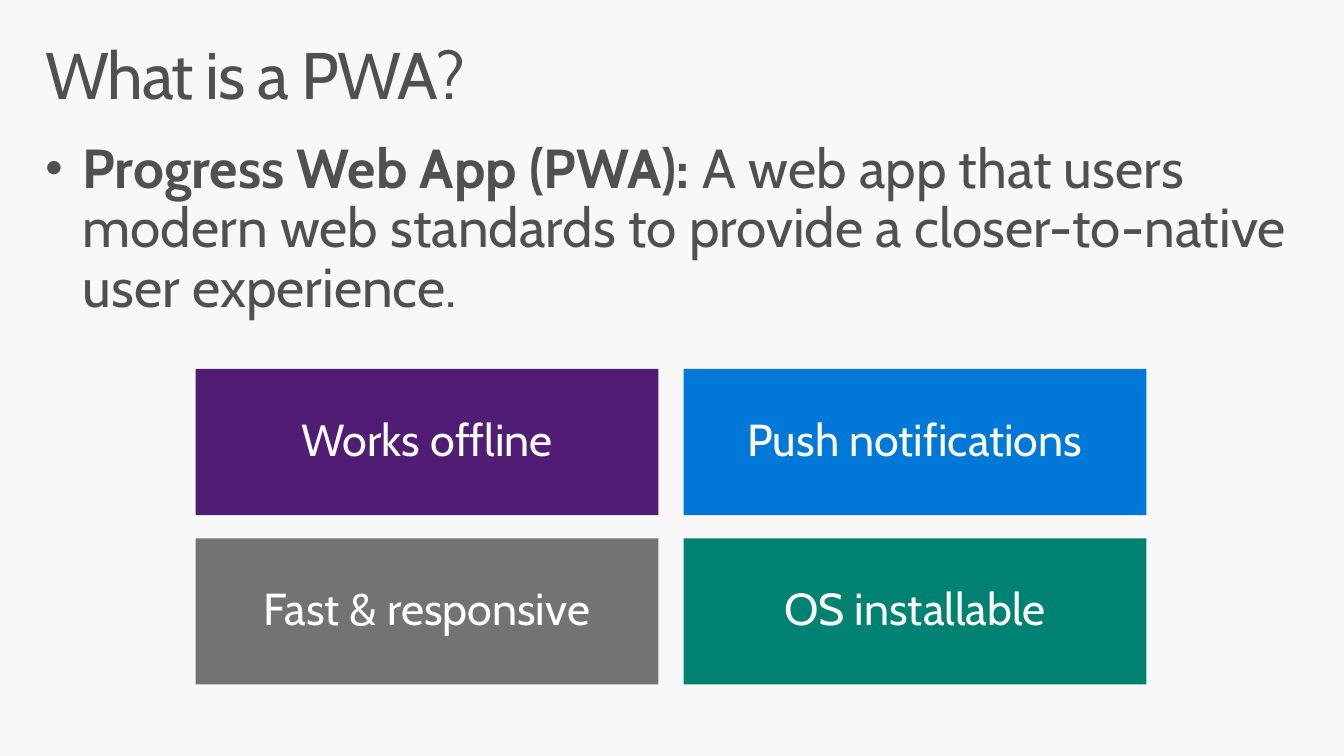
from lxml.etree import SubElement as Sub
from pptx import Presentation
from pptx.dml.color import RGBColor as RGB
from pptx.enum.shapes import MSO_SHAPE as Kind
from pptx.enum.text import MSO_ANCHOR as Anchor, PP_ALIGN as Align
from pptx.oxml.ns import qn
from pptx.util import Inches, Pt

PAPER = RGB(0xF8, 0xF8, 0xF8)
INK = RGB(0x50, 0x50, 0x50)
WHITE = RGB(0xFF, 0xFF, 0xFF)
PURPLE = RGB(0x51, 0x1C, 0x74)
BLUE = RGB(0x00, 0x78, 0xD7)
GRAY = RGB(0x73, 0x73, 0x73)
GREEN = RGB(0x00, 0x82, 0x72)

LEFT, TOP = 1.94, 3.66
WIDE, HIGH = 4.59, 1.45
COL, ROW = WIDE + 0.25, HIGH + 0.23
TILES = [
    ("Works offline", PURPLE),
    ("Push notifications", BLUE),
    ("Fast & responsive", GRAY),
    ("OS installable", GREEN),
]
TERM = "Progress Web App (PWA): "
SENSE = ("A web app that users modern web standards to provide "
         "a closer-to-native user experience.")


def pad(frame, side, edge):
    """Wrap the frame and set its margins in inches."""
    frame.word_wrap = True
    frame.margin_left = frame.margin_right = Inches(side)
    frame.margin_top = frame.margin_bottom = Inches(edge)


def style(para, size, color):
    """Set the line spacing of a paragraph and the font of its runs."""
    para.line_spacing = 0.9
    for run in para.runs:
        run.font.name = "Cabin"
        run.font.size = Pt(size)
        run.font.color.rgb = color


def add_text(slide, text, top, high, size):
    """Add a full-width text box and return its paragraph."""
    box = slide.shapes.add_textbox(
        Inches(0.29), Inches(top), Inches(12.74), Inches(high))
    pad(box.text_frame, 0.16, 0.1)
    para = box.text_frame.paragraphs[0]
    para.text = text
    style(para, size, INK)
    return para


def add_title(slide):
    """Add the slide title with tight letter spacing."""
    para = add_text(slide, "What is a PWA?", 0.32, 0.98, 47)
    para.runs[0].font._element.set("spc", "-100")


def add_point(slide):
    """Add the bulleted definition with its term in bold."""
    para = add_text(slide, TERM, 1.3, 2.13, 39.2)
    para.runs[0].font.bold = True
    para.add_run().text = SENSE
    props = para._p.get_or_add_pPr()
    props.set("marL", str(Inches(0.37)))
    props.set("indent", str(Inches(-0.37)))
    Sub(props, qn("a:buSzPct"), val="90000")
    Sub(props, qn("a:buFont"), typeface="Arial")
    Sub(props, qn("a:buChar"), char="•")
    style(para, 39.2, INK)


def add_tile(slide, spot, text, color):
    """Add one coloured tile at its spot in the two-column grid."""
    row, col = divmod(spot, 2)
    tile = slide.shapes.add_shape(
        Kind.RECTANGLE, Inches(LEFT + col * COL), Inches(TOP + row * ROW),
        Inches(WIDE), Inches(HIGH))
    tile.shadow.inherit = False
    tile.fill.solid()
    tile.fill.fore_color.rgb = color
    tile.line.fill.background()
    frame = tile.text_frame
    pad(frame, 0.2, 0.16)
    frame.vertical_anchor = Anchor.MIDDLE
    frame.text = text
    para = frame.paragraphs[0]
    para.alignment = Align.CENTER
    style(para, 32, WHITE)


def main():
    """Build the slide and save it."""
    deck = Presentation()
    deck.slide_width, deck.slide_height = Inches(13.33), Inches(7.5)
    slide = deck.slides.add_slide(deck.slide_layouts[6])
    slide.background.fill.solid()
    slide.background.fill.fore_color.rgb = PAPER
    add_point(slide)
    add_title(slide)
    for spot, (text, color) in enumerate(TILES):
        add_tile(slide, spot, text, color)
    deck.save("out.pptx")


if __name__ == "__main__":
    main()
